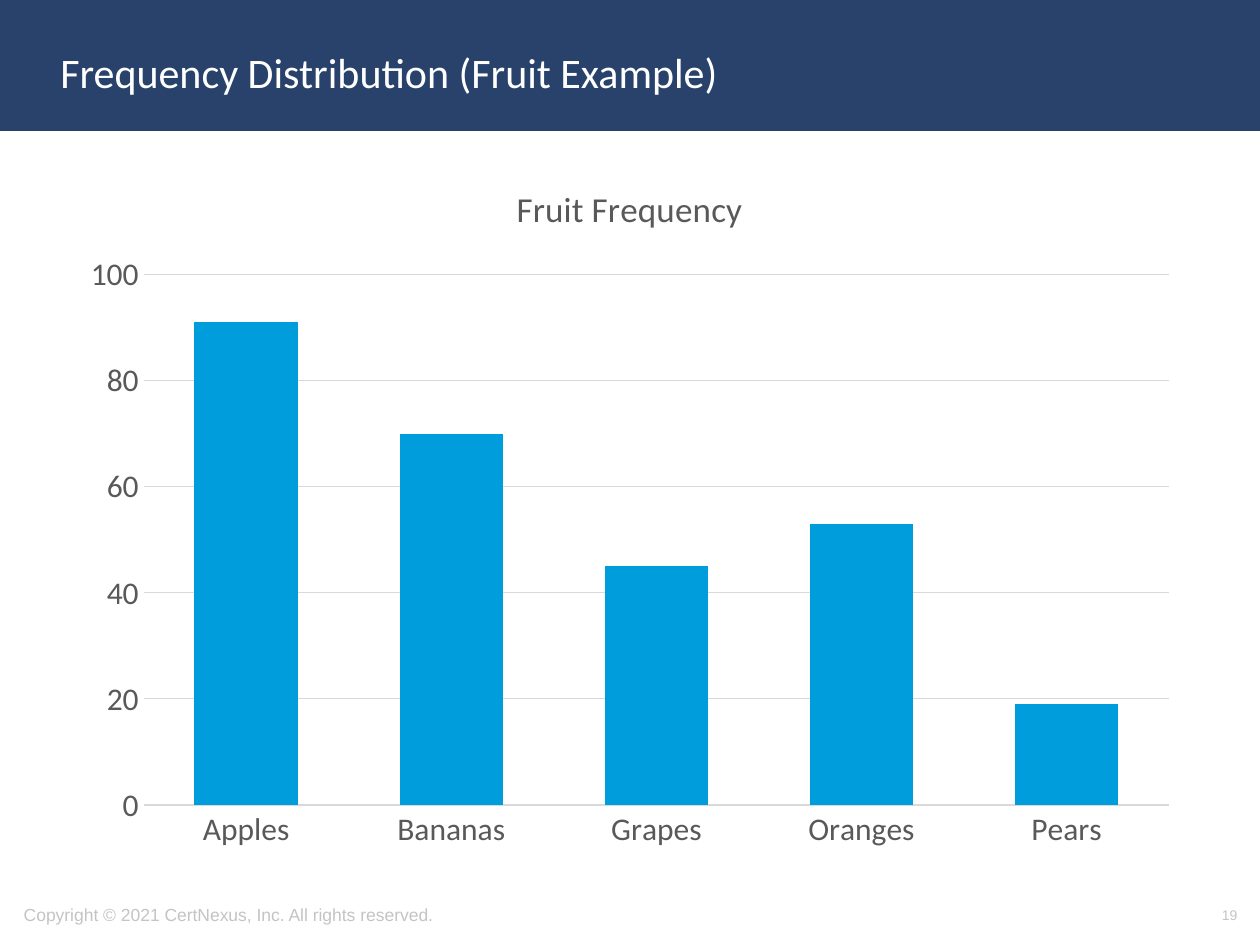
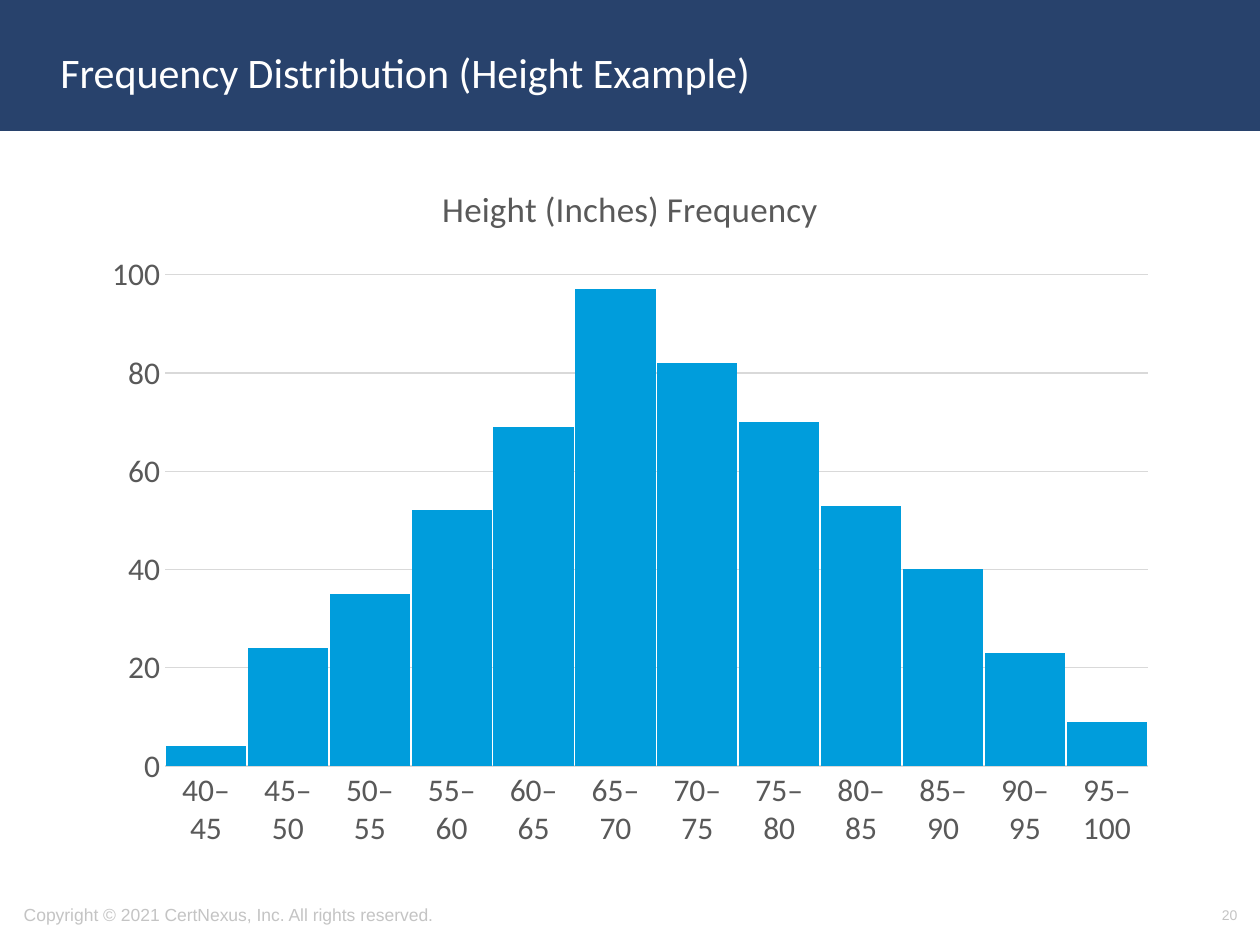
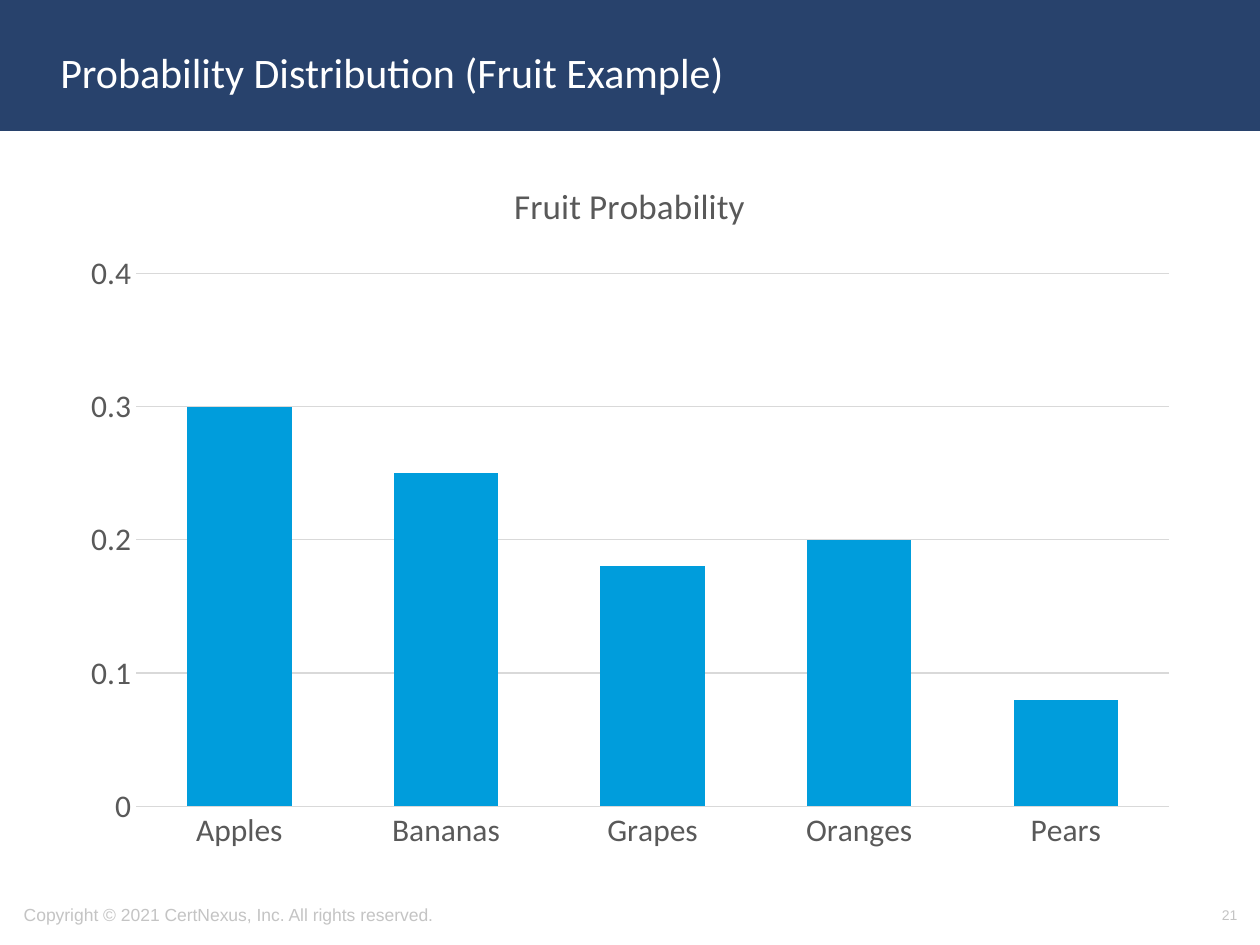
from lxml import etree
from pptx import Presentation
from pptx.chart import data
from pptx.dml.color import RGBColor
from pptx.enum import chart as charts, shapes, text
from pptx.oxml import ns
from pptx.util import Inches, Pt

NAVY = RGBColor(0x28, 0x42, 0x6C)
BLUE = RGBColor(0x00, 0x9D, 0xDC)
WHITE = RGBColor(0xFF, 0xFF, 0xFF)
FOOTER_GREY = RGBColor(0xC4, 0xC4, 0xC4)
LABEL_GREY = RGBColor(0x59, 0x59, 0x59)
GRID_GREY = RGBColor(0xD9, 0xD9, 0xD9)

BODY_FONT = "Calibri"
FOOTER_FONT = "Arial"
COPYRIGHT = "Copyright © 2021 CertNexus, Inc. All rights reserved."
FIRST_NUMBER = 19

FRUITS = ["Apples", "Bananas", "Grapes", "Oranges", "Pears"]
HEIGHT_RANGES = [f"{low}–{low + 5}" for low in range(40, 100, 5)]

# Boxes are left, top, width, height in inches; title_at is left, top.
SLIDES = [
    dict(heading="Frequency Distribution (Fruit Example)",
         title="Fruit Frequency", title_at=(4.05, 1.41),
         categories=FRUITS, values=[91, 70, 45, 53, 19],
         maximum=100, step=20, gap=98,
         box=(0.54, 1.24, 8.91, 5.61), plot_box=(1.14, 2.18, 8.14, 4.21)),
    dict(heading="Frequency Distribution (Height Example)",
         title="Height (Inches) Frequency", title_at=(3.46, 1.41),
         categories=HEIGHT_RANGES,
         values=[4, 24, 35, 52, 69, 97, 82, 70, 53, 40, 23, 9],
         maximum=100, step=20, gap=2,
         box=(0.72, 1.25, 8.57, 5.59), plot_box=(1.31, 2.18, 7.8, 3.9)),
    dict(heading="Probability Distribution (Fruit Example)",
         title="Fruit Probability", title_at=(4.03, 1.39),
         categories=FRUITS, values=[0.3, 0.25, 0.18, 0.2, 0.08],
         maximum=0.4, step=0.1, gap=98,
         box=(0.55, 1.23, 8.91, 5.63), plot_box=(1.08, 2.17, 8.2, 4.23)),
]


def style_font(font, name, size, color):
    font.name = name
    font.size = Pt(size)
    font.bold = False
    font.color.rgb = color


def add_label(slide, box, content, name, size, color, align=text.PP_ALIGN.LEFT):
    frame = slide.shapes.add_textbox(*map(Inches, box)).text_frame
    frame.word_wrap = True
    frame.vertical_anchor = text.MSO_ANCHOR.MIDDLE
    paragraph = frame.paragraphs[0]
    paragraph.alignment = align
    run = paragraph.add_run()
    run.text = content
    style_font(run.font, name, size, color)


def add_frame(slide, heading, number):
    """Add the title band, heading, copyright line and slide number."""
    band = slide.shapes.add_shape(
        shapes.MSO_SHAPE.RECTANGLE, 0, 0, Inches(10), Inches(1.03))
    band.shadow.inherit = False
    band.fill.solid()
    band.fill.fore_color.rgb = NAVY
    band.line.color.rgb = NAVY
    band.line.width = Pt(2)
    add_label(slide, (0.09, 7.06, 5.27, 0.4), COPYRIGHT,
              FOOTER_FONT, 10, FOOTER_GREY)
    add_label(slide, (0.38, 0.11, 8.62, 0.92), heading, BODY_FONT, 24, WHITE)
    add_label(slide, (7.59, 7.06, 2.33, 0.4), str(number),
              FOOTER_FONT, 8, FOOTER_GREY, text.PP_ALIGN.RIGHT)


def place_part(part, index, settings):
    """Give a chart part a manual layout, as the child at the given index."""
    for old in part.findall(ns.qn("c:layout")):
        part.remove(old)
    layout = etree.Element(ns.qn("c:layout"))
    manual = etree.SubElement(layout, ns.qn("c:manualLayout"))
    for tag, value in settings.items():
        etree.SubElement(manual, ns.qn(f"c:{tag}")).set("val", str(value))
    part.insert(index, layout)


def arrange_chart(chart, box, title_at, plot_box):
    """Place the chart title and the plot area, both given in slide inches."""
    left, top, width, height = box

    def corner(x, y):
        return dict(xMode="edge", yMode="edge",
                    x=(x - left) / width, y=(y - top) / height)

    place_part(chart.chart_title._element, 1, corner(*title_at))
    plot_left, plot_top, plot_width, plot_height = plot_box
    plot_area = chart._chartSpace.find(".//" + ns.qn("c:plotArea"))
    place_part(plot_area, 0, dict(
        layoutTarget="inner", **corner(plot_left, plot_top),
        w=plot_width / width, h=plot_height / height))


def style_axes(chart, maximum, step):
    for axis in (chart.category_axis, chart.value_axis):
        axis.major_tick_mark = charts.XL_TICK_MARK.NONE
        axis.minor_tick_mark = charts.XL_TICK_MARK.NONE
        style_font(axis.tick_labels.font, BODY_FONT, 18, LABEL_GREY)
    values = chart.value_axis
    values.minimum_scale = 0
    values.maximum_scale = maximum
    values.major_unit = step
    values.has_major_gridlines = True
    values.format.line.fill.background()
    for line in (chart.category_axis.format.line,
                 values.major_gridlines.format.line):
        line.color.rgb = GRID_GREY
        line.width = Pt(0.75)


def add_column_chart(slide, title, title_at, categories, values,
                     maximum, step, gap, box, plot_box):
    chart_data = data.CategoryChartData()
    chart_data.categories = categories
    chart_data.add_series("Series 1", values)
    chart = slide.shapes.add_chart(
        charts.XL_CHART_TYPE.COLUMN_CLUSTERED,
        *map(Inches, box), chart_data).chart
    chart.has_legend = False
    chart.font.name = BODY_FONT
    chart.font.size = Pt(10)

    chart.has_title = True
    run = chart.chart_title.text_frame.paragraphs[0].add_run()
    run.text = title
    style_font(run.font, BODY_FONT, 20, LABEL_GREY)

    plot = chart.plots[0]
    plot.vary_by_categories = False
    plot.gap_width = gap
    plot.overlap = -27
    fill = plot.series[0].format.fill
    fill.solid()
    fill.fore_color.rgb = BLUE

    style_axes(chart, maximum, step)
    arrange_chart(chart, box, title_at, plot_box)


def main():
    presentation = Presentation()
    presentation.slide_width = Inches(10)
    presentation.slide_height = Inches(7.5)
    blank = presentation.slide_layouts[6]
    for number, content in enumerate(SLIDES, FIRST_NUMBER):
        slide = presentation.slides.add_slide(blank)
        chart_content = dict(content)
        add_frame(slide, chart_content.pop("heading"), number)
        add_column_chart(slide, **chart_content)
    presentation.save("out.pptx")


if __name__ == "__main__":
    main()
